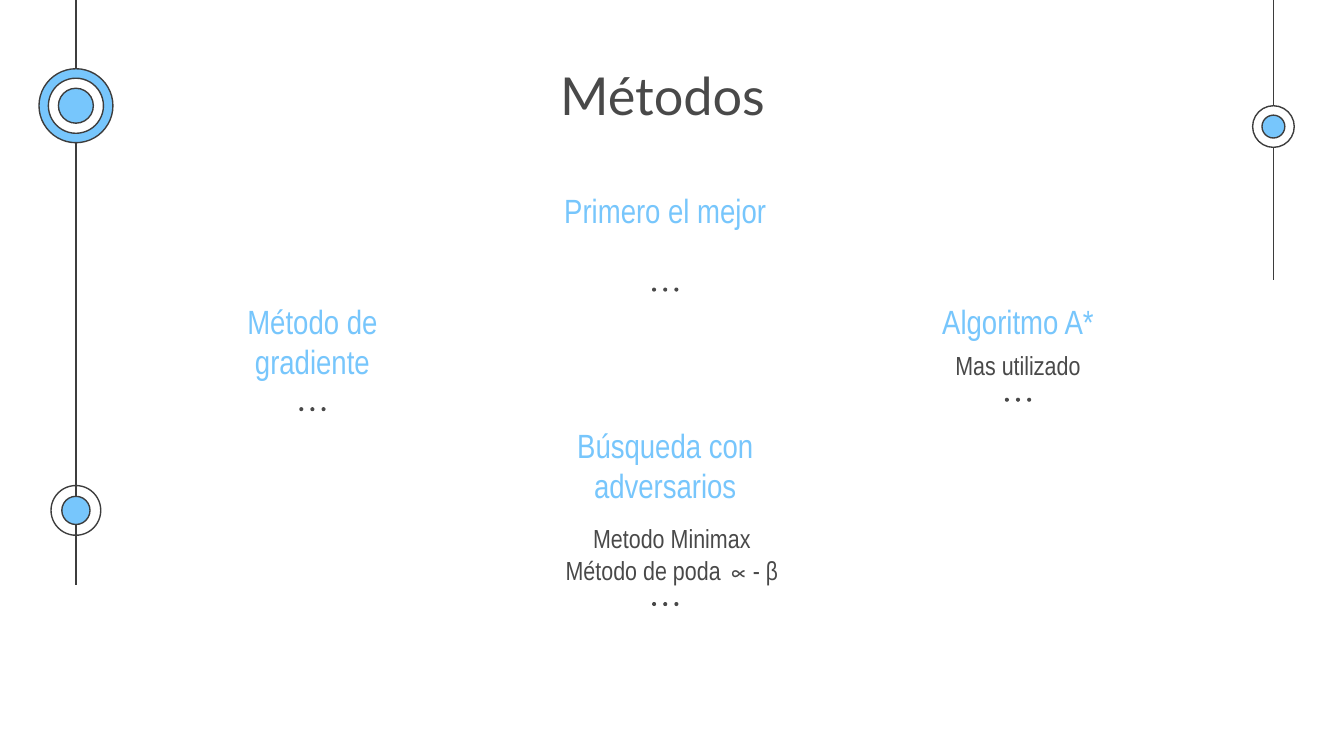
"""Build the "Métodos" slide: four search methods between two decorative rails."""
from collections import namedtuple
from dataclasses import dataclass

from lxml import etree
from pptx import Presentation
from pptx.dml.color import RGBColor
from pptx.enum.shapes import MSO_CONNECTOR, MSO_SHAPE
from pptx.enum.text import MSO_ANCHOR, PP_ALIGN
from pptx.oxml.ns import qn
from pptx.util import Inches, Pt

OVAL = MSO_SHAPE.OVAL
STRAIGHT = MSO_CONNECTOR.STRAIGHT
TOP = MSO_ANCHOR.TOP
CENTER = PP_ALIGN.CENTER

COLUMNS, ROWS = 100, 56.25
CELL = Inches(0.1)


@dataclass(frozen=True)
class Theme:
    """Colours, fonts and type sizes of the deck."""
    ink: RGBColor = RGBColor(0x49, 0x49, 0x49)
    rail: RGBColor = RGBColor(0x3D, 0x3D, 0x3D)
    accent: RGBColor = RGBColor(0x77, 0xC6, 0xFC)
    paper: RGBColor = RGBColor(0xFF, 0xFF, 0xFF)
    title_font: str = "Lato"
    text_font: str = "Arial Narrow"
    title_size: Pt = Pt(28)
    heading_size: Pt = Pt(18)
    body_size: Pt = Pt(14)
    stroke: Pt = Pt(0.75)


THEME = Theme()
Box = namedtuple("Box", "left top width height")
Topic = namedtuple("Topic", "heading column top dots_at body body_at", defaults=((), (0, 0)))

TITLE_BOX = Box(18.8, 3.7, 61, 6.5)
TOPIC_LEFT, TOPIC_STEP, TOPIC_WIDTH = 13.6, 26.25, 19.3
HEADING_HEIGHT, BODY_HEIGHT = 3.6, 11.8
DOT_SIZE, DOT_STEP = 0.3, 0.83

TOPICS = [
    Topic("Primero el mejor", 1, 13.1, 8.45),
    Topic("Método de gradiente", 0, 21.4, 9.05),
    Topic("Algoritmo A*", 2, 21.4, 8.35, ["Mas utilizado"], (0, 3.6)),
    Topic("Búsqueda con adversarios", 1, 30.6, 14.35,
          ["Metodo Minimax", "Método de poda ∝- β"], (0.5, 7.3)),
]

RAILS = [
    (Box(2.9, 0, 5.5, 43.5), [
        (7.87, [(5.5, THEME.accent), (4.1, THEME.paper), (2.6, THEME.accent)]),
        (37.98, [(3.7, None), (2.1, THEME.accent)]),
    ]),
    (Box(93.2, 0, 3.1, 20.8), [
        (9.42, [(3.1, THEME.paper), (1.7, THEME.accent)]),
    ]),
]


def cells(*counts):
    """Turn counts of grid cells into slide lengths."""
    return [round(count * CELL) for count in counts]


def add_circle(shapes, x, y, diameter, fill, line=None):
    """Draw a circle around a centre point."""
    corner = (x - diameter / 2, y - diameter / 2)
    circle = shapes.add_shape(OVAL, *cells(*corner, diameter, diameter))
    circle.shadow.inherit = False
    if fill is None:
        circle.fill.background()
    else:
        circle.fill.solid()
        circle.fill.fore_color.rgb = fill
    if line is None:
        circle.line.fill.background()
    else:
        circle.line.color.rgb = line
        circle.line.width = THEME.stroke


def add_text(page, box, lines, font, size, color):
    """Write centred lines into a text box."""
    frame = page.shapes.add_textbox(*cells(*box)).text_frame
    frame.word_wrap = True
    frame.vertical_anchor = TOP
    frame.margin_left = frame.margin_right = CELL
    frame.margin_top = frame.margin_bottom = CELL
    for index, line in enumerate(lines):
        para = frame.add_paragraph() if index else frame.paragraphs[0]
        para.text = line
        para.alignment = CENTER
        para.font.name = font
        para.font.size = size
        para.font.color.rgb = color


def add_rail(page, box, nodes):
    """Draw a vertical line down the middle of the box with ringed nodes on it."""
    shapes = page.shapes.add_group_shape().shapes
    x = box.left + box.width / 2
    line = shapes.add_connector(STRAIGHT, *cells(x, box.top, x, box.top + box.height))
    line.line.color.rgb = THEME.rail
    line.line.width = THEME.stroke
    etree.SubElement(line.element.spPr, qn("a:effectLst"))
    for y, rings in nodes:
        for diameter, fill in rings:
            add_circle(shapes, x, box.top + y, diameter, fill, THEME.rail)


def add_dots(page, x, y):
    """Draw three small dots in a row around a centre point."""
    shapes = page.shapes.add_group_shape().shapes
    for step in (-1, 0, 1):
        add_circle(shapes, x + step * DOT_STEP, y, DOT_SIZE, THEME.ink)


def add_topic(page, box, topic):
    """Place a heading, its details and its closing dots relative to the box."""
    add_text(page, box, [topic.heading], THEME.text_font, THEME.heading_size, THEME.accent)
    if topic.body:
        shift, drop = topic.body_at
        body_box = Box(box.left + shift, box.top + drop, box.width, BODY_HEIGHT)
        add_text(page, body_box, topic.body, THEME.text_font, THEME.body_size, THEME.ink)
    add_dots(page, box.left + box.width / 2, box.top + topic.dots_at)


def add_methods_page(deck):
    """Add the page with its rails, title and topics."""
    page = deck.slides.add_slide(deck.slide_layouts[6])
    page.background.fill.solid()
    page.background.fill.fore_color.rgb = THEME.paper
    for box, nodes in RAILS:
        add_rail(page, box, nodes)
    add_text(page, TITLE_BOX, ["Métodos"], THEME.title_font, THEME.title_size, THEME.ink)
    for topic in TOPICS:
        left = TOPIC_LEFT + topic.column * TOPIC_STEP
        add_topic(page, Box(left, topic.top, TOPIC_WIDTH, HEADING_HEIGHT), topic)


def main():
    """Build and save the deck."""
    deck = Presentation()
    deck.slide_width, deck.slide_height = cells(COLUMNS, ROWS)
    add_methods_page(deck)
    deck.save("out.pptx")


if __name__ == "__main__":
    main()
